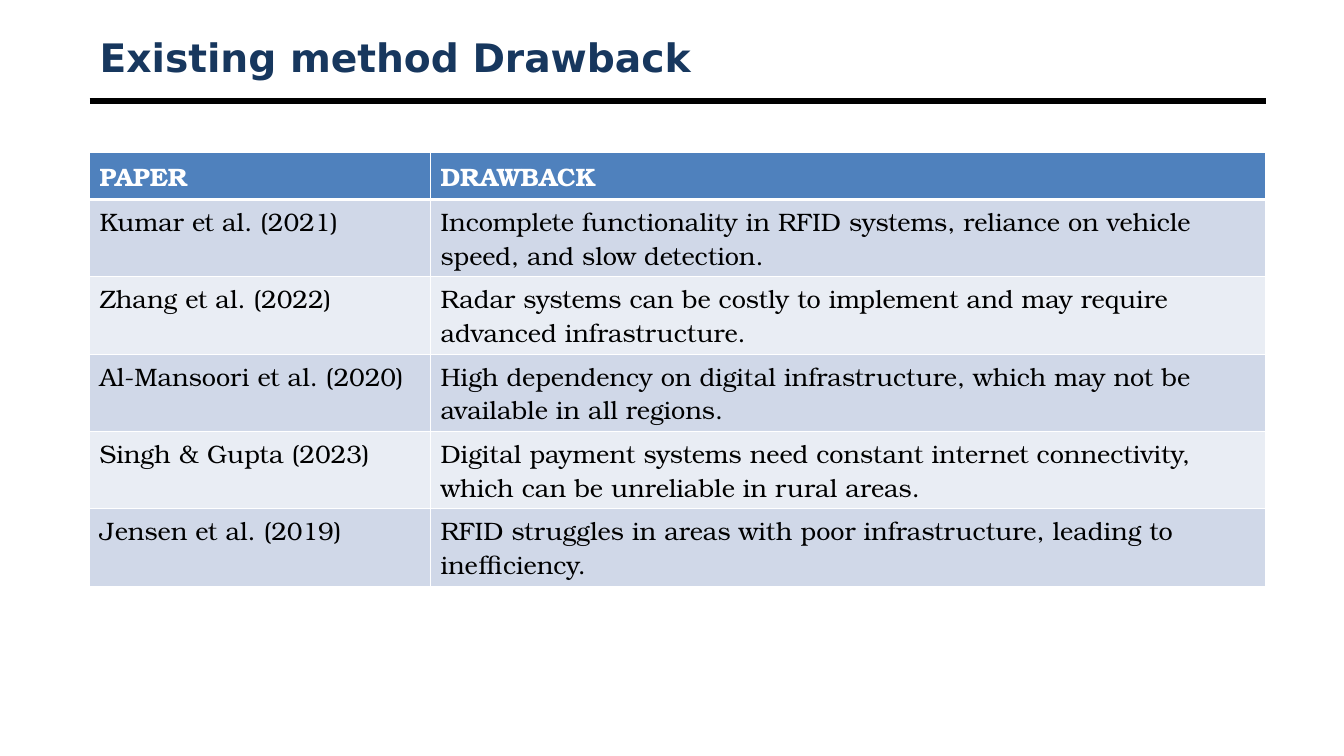
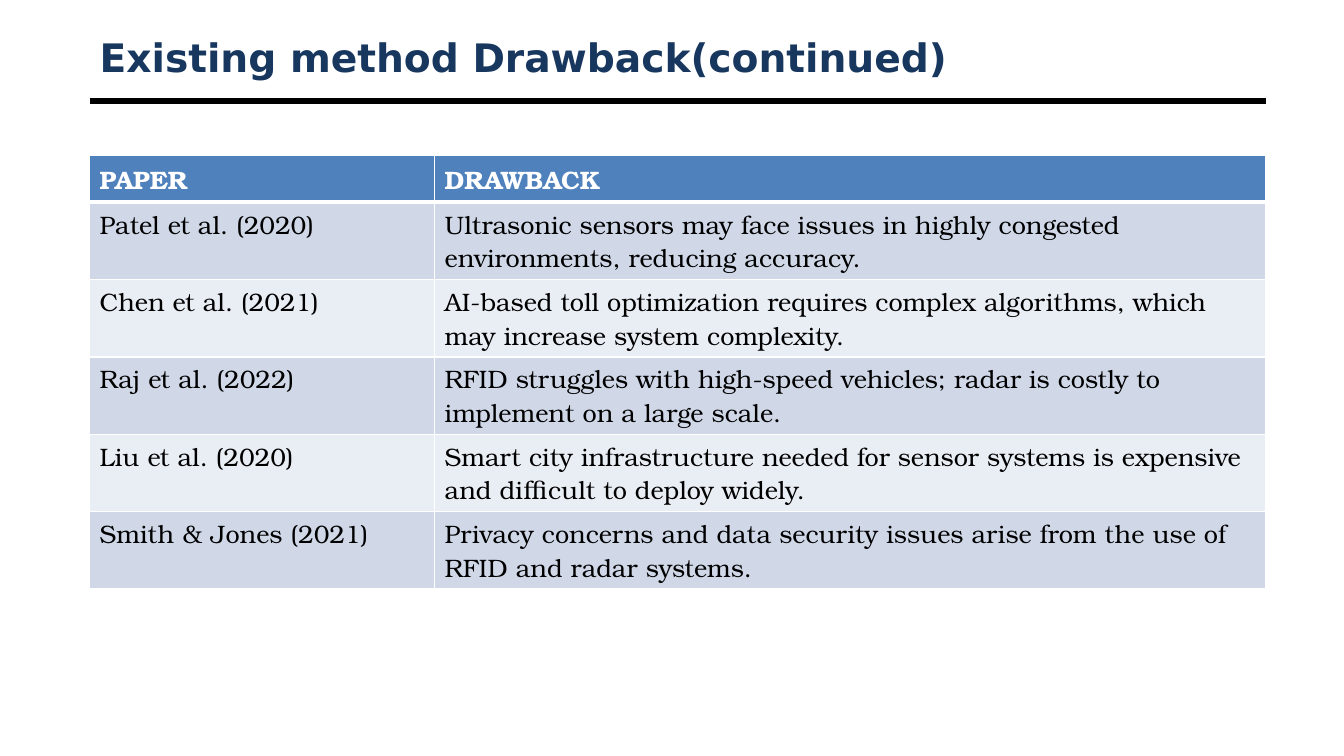
"""Build two slides listing the drawbacks of existing toll methods."""
from lxml import etree
from pptx import Presentation
from pptx.dml.color import RGBColor
from pptx.enum import shapes, text
from pptx.oxml import ns
from pptx.util import Pt


def rgb(value):
    return RGBColor.from_string(value)


class Deck:
    NAVY, BLACK, WHITE = "17375E", "000000", "FFFFFF"
    HEADER, BANDS = "4F81BD", ("D0D8E8", "E9EDF4")
    TITLE_FONT, TABLE_FONT = "DejaVu Sans", "TeX Gyre Bonum"
    LEFT, WIDTH = 64, 840
    HEADER_HEIGHT, ROW_HEIGHT = 32.5, 55.2

    def __init__(self):
        self.prs = Presentation()
        self.prs.slide_width, self.prs.slide_height = Pt(960), Pt(540)
        self.slide = None

    def add_slide(self, title):
        self.slide = self.prs.slides.add_slide(self.prs.slide_layouts[5])
        self.rule(72)
        self.title(title)

    def font(self, p, name, size, color, bold):
        p.font.name, p.font.size, p.font.bold = name, Pt(size), bold
        p.font.color.rgb = rgb(color)

    def rule(self, y):
        line = self.slide.shapes.add_connector(
            shapes.MSO_CONNECTOR.STRAIGHT,
            Pt(self.LEFT), Pt(y), Pt(self.LEFT + self.WIDTH), Pt(y))
        line.line.color.rgb = rgb(self.BLACK)
        line.line.width = Pt(4.5)
        etree.SubElement(line._element.spPr, ns.qn("a:effectLst"))

    def title(self, words):
        sp = self.slide.shapes.title
        sp.left, sp.top = Pt(self.LEFT), Pt(21.6)
        sp.width, sp.height = Pt(self.WIDTH), Pt(38.4)
        tf = sp.text_frame
        tf.text = words
        tf.word_wrap = True
        tf.auto_size = text.MSO_AUTO_SIZE.NONE
        tf.vertical_anchor = text.MSO_ANCHOR.MIDDLE
        p = tf.paragraphs[0]
        p.alignment = text.PP_ALIGN.LEFT
        self.font(p, self.TITLE_FONT, 28, self.NAVY, True)

    def borders(self, cell, top, bottom):
        tc_pr = cell._tc.get_or_add_tcPr()
        for side, width in (("L", 1), ("R", 1), ("T", top), ("B", bottom)):
            ln = etree.SubElement(tc_pr, ns.qn(f"a:ln{side}"), w=str(Pt(width)))
            fill = etree.SubElement(ln, ns.qn("a:solidFill"))
            etree.SubElement(fill, ns.qn("a:srgbClr"), val=self.WHITE)

    def cell(self, cell, words, row):
        header = row == 0
        self.borders(cell, 3 if row == 1 else 1, 3 if header else 1)
        cell.fill.solid()
        cell.fill.fore_color.rgb = rgb(
            self.HEADER if header else self.BANDS[(row - 1) % 2])
        cell.text = words
        self.font(cell.text_frame.paragraphs[0], self.TABLE_FONT, 18,
                  self.WHITE if header else self.BLACK, header)

    def table(self, top, first_width, body):
        rows = [("PAPER", "DRAWBACK"), *body]
        heights = [self.HEADER_HEIGHT] + [self.ROW_HEIGHT] * len(body)
        table = self.slide.shapes.add_table(
            len(rows), 2, Pt(self.LEFT), Pt(top),
            Pt(self.WIDTH), Pt(sum(heights))).table
        for column, width in zip(table.columns,
                                 (first_width, self.WIDTH - first_width)):
            column.width = Pt(width)
        for i, (row, height) in enumerate(zip(rows, heights)):
            table.rows[i].height = Pt(height)
            for j, words in enumerate(row):
                self.cell(table.cell(i, j), words, i)


def main():
    deck = Deck()

    deck.add_slide("Existing method Drawback")
    deck.table(109, 243.5, [
        ("Kumar et al. (2021)",
         "Incomplete functionality in RFID systems, reliance on vehicle "
         "speed, and slow detection."),
        ("Zhang et al. (2022)",
         "Radar systems can be costly to implement and may require "
         "advanced infrastructure."),
        ("Al-Mansoori et al. (2020)",
         "High dependency on digital infrastructure, which may not be "
         "available in all regions."),
        ("Singh & Gupta (2023)",
         "Digital payment systems need constant internet connectivity, "
         "which can be unreliable in rural areas."),
        ("Jensen et al. (2019)",
         "RFID struggles in areas with poor infrastructure, leading to "
         "inefficiency."),
    ])

    deck.add_slide("Existing method Drawback(continued)")
    deck.table(111, 246.5, [
        ("Patel et al. (2020)",
         "Ultrasonic sensors may face issues in highly congested "
         "environments, reducing accuracy."),
        ("Chen et al. (2021)",
         "AI-based toll optimization requires complex algorithms, which "
         "may increase system complexity."),
        ("Raj et al. (2022)",
         "RFID struggles with high-speed vehicles; radar is costly to "
         "implement on a large scale."),
        ("Liu et al. (2020)",
         "Smart city infrastructure needed for sensor systems is expensive "
         "and difficult to deploy widely."),
        ("Smith & Jones (2021)",
         "Privacy concerns and data security issues arise from the use of "
         "RFID and radar systems."),
    ])

    deck.prs.save("out.pptx")


if __name__ == "__main__":
    main()
